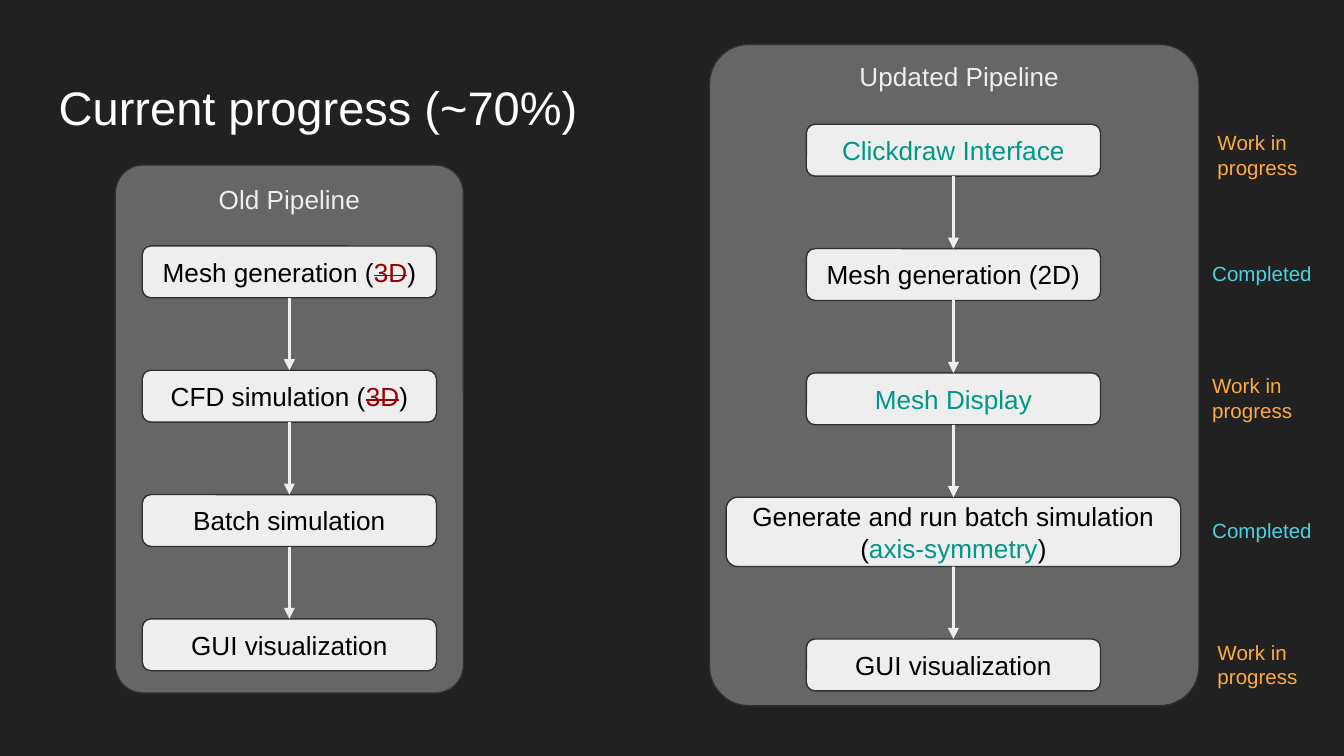
"""Build a slide comparing the old and updated simulation pipelines."""
import pptx
import pptx.dml.color
import pptx.enum.shapes
import pptx.enum.text
import pptx.oxml.ns
import pptx.util
from lxml import etree

Cm = pptx.util.Cm
Pt = pptx.util.Pt
BLACK, RED, TEAL = "000000", "980000", "009688"
ORANGE, CYAN = "FFAB40", "4DD0E1"
LIGHT, PANEL, OUTLINE = "EEEEEE", "666666", "303030"
STEP_WIDTH, STEP_HEIGHT, STEP_GAP = 5.56, 0.98, 1.37


def color(value):
    return pptx.dml.color.RGBColor.from_string(value)


class SlideBuilder:
    font = "Arial"
    inset = Cm(0.25)

    def __init__(self, presentation, background):
        self.slide = presentation.slides.add_slide(presentation.slide_layouts[6])
        self.slide.background.fill.solid()
        self.slide.background.fill.fore_color.rgb = color(background)

    def set_text(self, shape, parts, size, centered=False, middle=False):
        frame = shape.text_frame
        frame.word_wrap = True
        frame.margin_left = frame.margin_right = self.inset
        frame.margin_top = frame.margin_bottom = self.inset
        anchors = pptx.enum.text.MSO_ANCHOR
        frame.vertical_anchor = anchors.MIDDLE if middle else anchors.TOP
        paragraph = frame.paragraphs[0]
        alignments = pptx.enum.text.PP_ALIGN
        paragraph.alignment = alignments.CENTER if centered else alignments.LEFT
        for text, text_color in parts:
            run = paragraph.add_run()
            run.text = text
            run.font.name = self.font
            run.font.size = Pt(size)
            run.font.color.rgb = color(text_color)
            if text_color == RED:
                run._r.get_or_add_rPr().set("strike", "sngStrike")
        return paragraph

    def rounded(self, left, top, width, height, fill, radius):
        shape = self.slide.shapes.add_shape(
            pptx.enum.shapes.MSO_SHAPE.ROUNDED_RECTANGLE,
            Cm(left), Cm(top), Cm(width), Cm(height))
        shape.adjustments[0] = radius
        shape.shadow.inherit = False
        shape.fill.solid()
        shape.fill.fore_color.rgb = color(fill)
        shape.line.color.rgb = color(OUTLINE)
        shape.line.width = Pt(0.75)
        return shape

    def text(self, left, top, width, height, text, size, text_color, **layout):
        shape = self.slide.shapes.add_textbox(Cm(left), Cm(top), Cm(width), Cm(height))
        return shape, self.set_text(shape, [(text, text_color)], size, **layout)

    def heading(self, center, top, width, text, line_spacing):
        _, paragraph = self.text(center - width / 2, top, width, 1.09, text, 14, LIGHT,
                                 centered=True, middle=True)
        paragraph.line_spacing = line_spacing
        paragraph.space_after = Pt(12)

    def status(self, left, top, text, text_color, height):
        shape, _ = self.text(left, top, 2.54, height, text, 11, text_color)
        shape.text_frame.auto_size = pptx.enum.text.MSO_AUTO_SIZE.SHAPE_TO_FIT_TEXT

    def arrow(self, upper, lower):
        connector = self.slide.shapes.add_connector(
            pptx.enum.shapes.MSO_CONNECTOR.STRAIGHT, 0, 0, 0, 0)
        connector.begin_connect(upper, 2)
        connector.end_connect(lower, 0)
        connector.line.color.rgb = color(LIGHT)
        connector.line.width = Pt(1.5)
        qn = pptx.oxml.ns.qn
        properties = connector._element.spPr
        etree.SubElement(properties.find(qn("a:ln")), qn("a:tailEnd"), type="triangle")
        etree.SubElement(properties, qn("a:effectLst"))

    def pipeline(self, center, top, steps):
        boxes = []
        for parts, width, height in steps:
            box = self.rounded(center - width / 2, top, width, height, LIGHT, 0.167)
            self.set_text(box, parts, 14, centered=True, middle=True)
            boxes.append(box)
            top += height + STEP_GAP
        for upper, lower in zip(boxes, boxes[1:]):
            self.arrow(upper, lower)


def step(*parts, width=STEP_WIDTH, height=STEP_HEIGHT):
    return parts, width, height


def main():
    presentation = pptx.Presentation()
    presentation.slide_width = Cm(25.4)
    presentation.slide_height = Cm(14.29)
    builder = SlideBuilder(presentation, "212121")

    builder.rounded(13.41, 0.84, 9.25, 12.5, PANEL, 0.08)
    builder.rounded(2.18, 3.12, 6.58, 9.98, PANEL, 0.08)
    builder.text(0.86, 1.24, 23.67, 1.6, "Current progress (~70%)", 25.2, "FFFFFF")

    builder.heading(5.47, 3.25, 3.81, "Old Pipeline", 0.95)
    builder.pipeline(5.47, 4.65, [
        step(("Mesh generation (", BLACK), ("3D", RED), (")", BLACK)),
        step(("CFD simulation (", BLACK), ("3D", RED), (")", BLACK)),
        step(("Batch simulation", BLACK)),
        step(("GUI visualization", BLACK)),
    ])

    builder.heading(18.13, 0.84, 4.83, "Updated Pipeline", 1.15)
    builder.pipeline(18.02, 2.35, [
        step(("Clickdraw Interface", TEAL)),
        step(("Mesh generation (2D)", BLACK)),
        step(("Mesh Display", TEAL)),
        step(("Generate and run batch simulation (", BLACK), ("axis-symmetry", TEAL),
             (")", BLACK), width=8.59, height=1.31),
        step(("GUI visualization", BLACK)),
    ])

    for left, top in [(22.76, 2.21), (22.66, 6.81), (22.76, 11.84)]:
        builder.status(left, top, "Work in progress", ORANGE, 1.45)
    for top in (4.7, 9.55):
        builder.status(22.66, top, "Completed", CYAN, 0.98)

    presentation.save("out.pptx")


if __name__ == "__main__":
    main()
